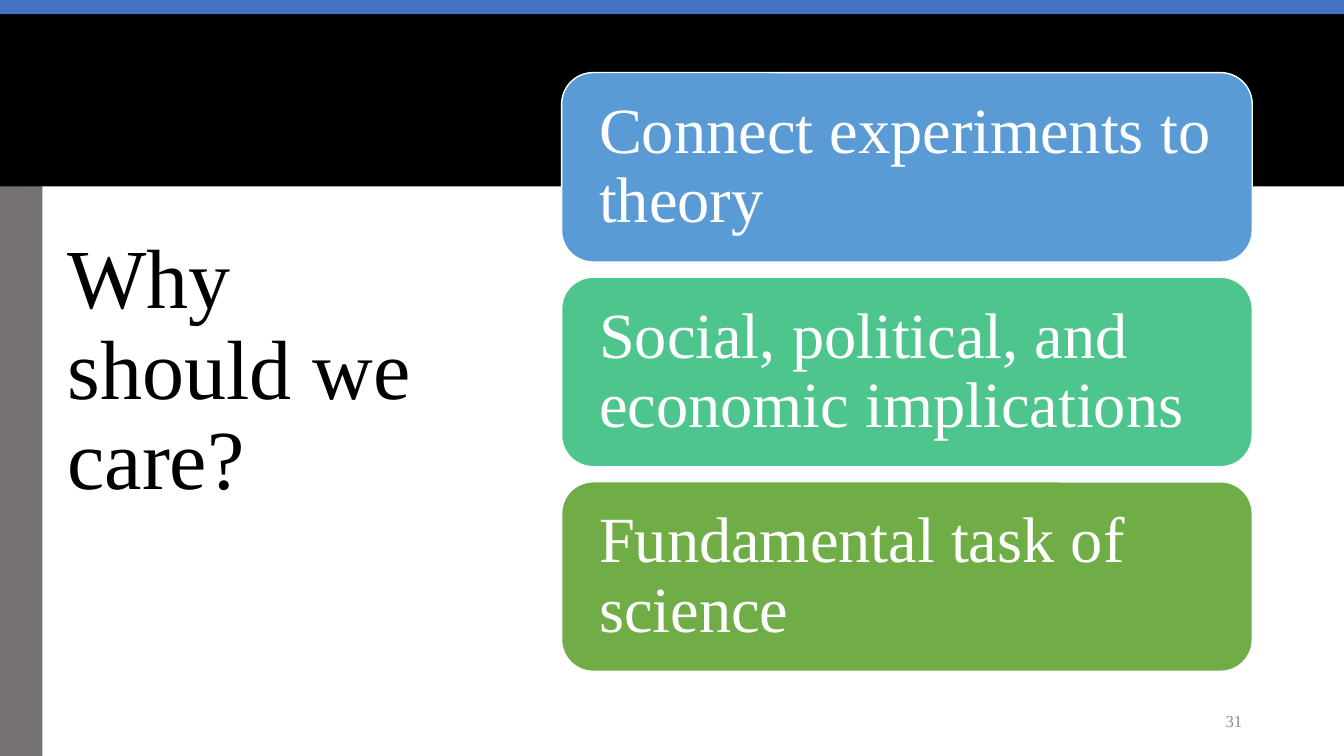
from dataclasses import dataclass

from pptx import Presentation
from pptx.dml.color import RGBColor
from pptx.enum.shapes import MSO_SHAPE
from pptx.enum.text import MSO_ANCHOR, MSO_AUTO_SIZE, PP_ALIGN
from pptx.shapes.autoshape import Shape
from pptx.slide import Slide
from pptx.text.text import TextFrame
from pptx.util import Inches, Pt

RECT = MSO_SHAPE.RECTANGLE
ROUNDED = MSO_SHAPE.ROUNDED_RECTANGLE
MIDDLE = MSO_ANCHOR.MIDDLE
NO_AUTOFIT = MSO_AUTO_SIZE.NONE
LEFT, RIGHT = PP_ALIGN.LEFT, PP_ALIGN.RIGHT
TITLE_ONLY = 5


@dataclass(frozen=True)
class Theme:
    font: str = "Times New Roman"
    black: str = "000000"
    white: str = "FFFFFF"
    side_gray: str = "767171"
    accent_blue: str = "4472C4"
    number_gray: str = "8C8C8C"
    title_size: int = 60
    reason_size: int = 46
    number_size: int = 12


@dataclass(frozen=True)
class Box:
    left: float
    top: float
    width: float
    height: float

    def lengths(self) -> tuple[Inches, Inches, Inches, Inches]:
        return (Inches(self.left), Inches(self.top),
                Inches(self.width), Inches(self.height))


@dataclass(frozen=True)
class Reason:
    text: str
    fill: str


THEME = Theme()
SLIDE_WIDTH, SLIDE_HEIGHT = 13.33, 7.5

SIDE_BAND = Box(0, 0, 0.42, SLIDE_HEIGHT)
TOP_BAND = Box(0, 0, SLIDE_WIDTH, 1.85)
ACCENT_STRIP = Box(0, 0, SLIDE_WIDTH, 0.14)
TITLE_BOX = Box(0.57, 0.68, 4.16, 6.02)
NUMBER_BOX = Box(9.42, 6.95, 3, 0.4)
FIRST_REASON = Box(5.57, 0.72, 6.85, 1.88)
REASON_PITCH = 2.03

REASONS = (
    Reason("Connect experiments to theory", "5B9BD5"),
    Reason("Social, political, and economic implications", "4DC58D"),
    Reason("Fundamental task of science", "70AD47"),
)


def write_text(frame: TextFrame, text: str, *, size: int, color: str,
               align: PP_ALIGN = LEFT, line_spacing: float = 1.0,
               inset: float = 0.1, inset_y: float = 0.05) -> None:
    frame.word_wrap = True
    frame.auto_size = NO_AUTOFIT
    frame.vertical_anchor = MIDDLE
    frame.margin_left = frame.margin_right = Inches(inset)
    frame.margin_top = frame.margin_bottom = Inches(inset_y)
    paragraph = frame.paragraphs[0]
    paragraph.alignment = align
    paragraph.line_spacing = line_spacing
    run = paragraph.add_run()
    run.text = text
    run.font.name = THEME.font
    run.font.size = Pt(size)
    run.font.color.rgb = RGBColor.from_string(color)


def add_block(slide: Slide, box: Box, fill: str, preset: MSO_SHAPE = RECT,
              outline: str | None = None) -> Shape:
    block = slide.shapes.add_shape(preset, *box.lengths())
    block.shadow.inherit = False
    block.fill.solid()
    block.fill.fore_color.rgb = RGBColor.from_string(fill)
    if outline:
        block.line.color.rgb = RGBColor.from_string(outline)
        block.line.width = Pt(1)
    else:
        block.line.fill.background()
    return block


def add_title(slide: Slide, text: str) -> None:
    title = slide.shapes.title
    title.left, title.top, title.width, title.height = TITLE_BOX.lengths()
    write_text(title.text_frame, text, size=THEME.title_size,
               color=THEME.black, line_spacing=0.9)


def add_reason(slide: Slide, reason: Reason, row: int) -> None:
    box = Box(FIRST_REASON.left, FIRST_REASON.top + row * REASON_PITCH,
              FIRST_REASON.width, FIRST_REASON.height)
    card = add_block(slide, box, reason.fill, ROUNDED, THEME.white)
    write_text(card.text_frame, reason.text, size=THEME.reason_size,
               color=THEME.white, line_spacing=0.9, inset=0.28, inset_y=0.28)


def main() -> None:
    deck = Presentation()
    deck.slide_width, deck.slide_height = Inches(SLIDE_WIDTH), Inches(SLIDE_HEIGHT)
    slide = deck.slides.add_slide(deck.slide_layouts[TITLE_ONLY])

    # Background bands, placed behind the title
    for band, color in ((SIDE_BAND, THEME.side_gray), (TOP_BAND, THEME.black)):
        block = add_block(slide, band, color)
        slide.shapes.title.element.addprevious(block.element)

    # Title and accent strip
    add_title(slide, "Why should we care?")
    add_block(slide, ACCENT_STRIP, THEME.accent_blue)

    # Slide number
    number = slide.shapes.add_textbox(*NUMBER_BOX.lengths())
    write_text(number.text_frame, "31", size=THEME.number_size,
               color=THEME.number_gray, align=RIGHT)

    # Stack of reasons
    for row, reason in enumerate(REASONS):
        add_reason(slide, reason, row)

    deck.save("out.pptx")


if __name__ == "__main__":
    main()
